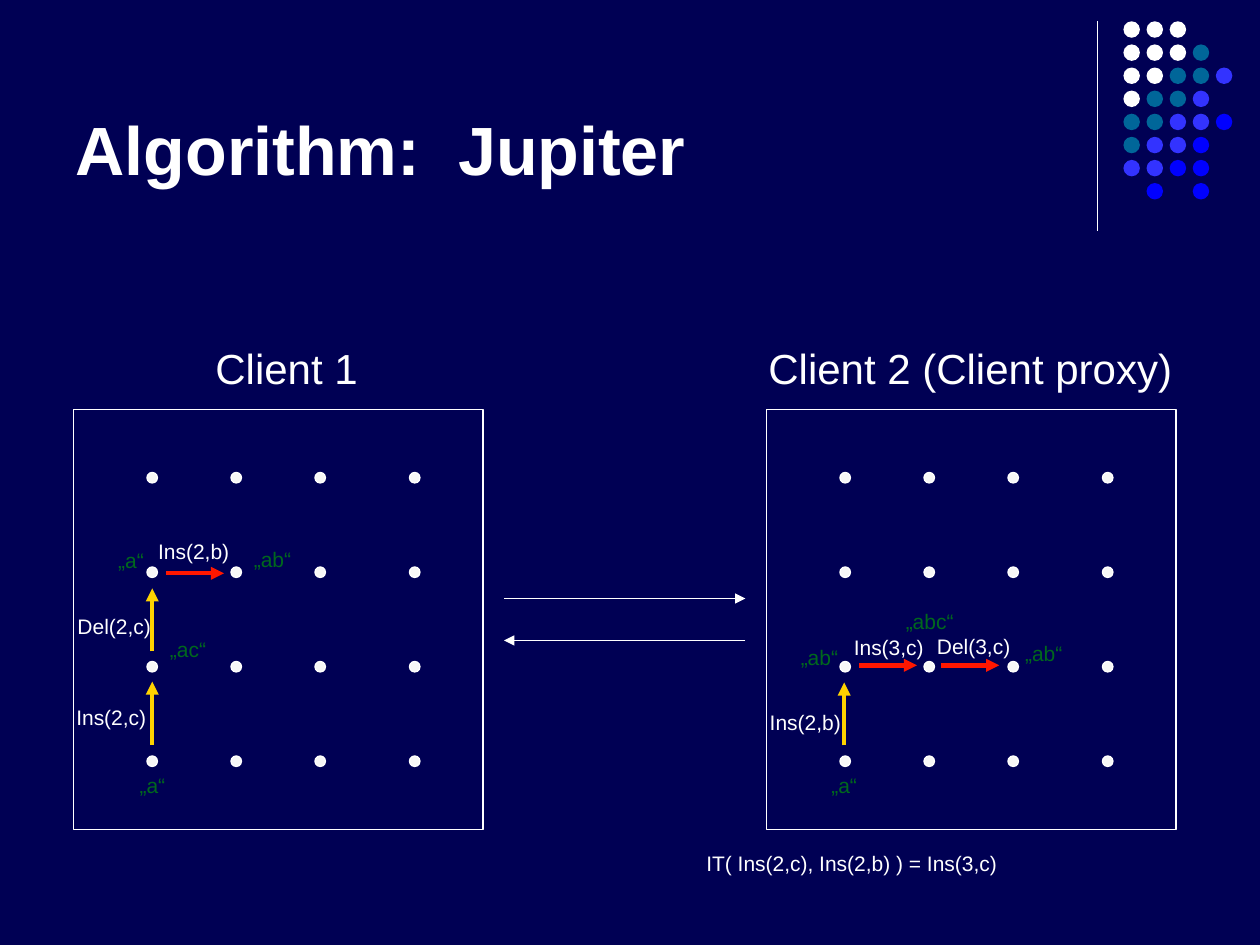
from pptx import Presentation
from pptx.util import Pt
from pptx.dml.color import RGBColor
from pptx.enum.shapes import MSO_SHAPE as Shape, MSO_CONNECTOR as Conn
from pptx.enum.text import MSO_ANCHOR as Anchor, PP_ALIGN as Align
from pptx.oxml.ns import qn
from lxml.etree import SubElement

HEX = {
    "back": "000054", "white": "FFFFFF", "dot": "F7F7F7", "teal": "006699",
    "violet": "3333FF", "blue": "0000FF", "red": "FF1700", "gold": "FFD300",
    "green": "00681D",
}
RGB = {name: RGBColor.from_string(code) for name, code in HEX.items()}


def add_line(x1, y1, x2, y2, color="white", width=0.75, arrow=True):
    line = slide.shapes.add_connector(Conn.STRAIGHT, Pt(x1), Pt(y1), Pt(x2), Pt(y2))
    line.line.color.rgb = RGB[color]
    line.line.width = Pt(width)
    props = line._element.spPr
    if arrow:
        SubElement(props.find(qn("a:ln")), qn("a:tailEnd"), type="triangle")
    SubElement(props, qn("a:effectLst"))


def add_text(text, x, y, w, h=21.6, size=12, color="white"):
    frame = slide.shapes.add_textbox(Pt(x), Pt(y), Pt(w), Pt(h)).text_frame
    frame.word_wrap = True
    frame.margin_right = Pt(4)
    para = frame.paragraphs[0]
    para.text = text
    para.font.name = "Arial"
    para.font.size = Pt(size)
    para.font.color.rgb = RGB[color]


deck = Presentation()
deck.slide_width, deck.slide_height = Pt(720), Pt(540)
slide = deck.slides.add_slide(deck.slide_layouts[5])
slide.background.fill.solid()
slide.background.fill.fore_color.rgb = RGB["back"]

title = slide.shapes.title
title.left, title.top, title.width, title.height = Pt(36), Pt(9.5), Pt(594), Pt(102)
title.text_frame.text = "Algorithm:  Jupiter"
title.text_frame.vertical_anchor = Anchor.BOTTOM
head = title.text_frame.paragraphs[0]
head.alignment = Align.LEFT
head.font.name = "Arial"
head.font.size = Pt(39)
head.font.bold = True
head.font.color.rgb = RGB["white"]

add_line(627, 12, 627, 132, arrow=False)

shades = {"W": "white", "T": "teal", "V": "violet", "B": "blue"}
motif = ["WWW", "WWWT", "WWTTV", "WTTV", "TTVVB", "TVVB", "VVBB", " B B"]
sets = [[
    (642 + 13.2 * col, 12.2 + 13.2 * row, 9.4, shades[key], False)
    for row, keys in enumerate(motif)
    for col, key in enumerate(keys) if key != " "
]]

boxes = [42, 438]
for left in boxes:
    sets.append([
        (left + step, 270 + 54 * row, 6, "dot", True)
        for row in range(4) for step in (42, 90, 138, 192)
    ])

for left in boxes:
    box = slide.shapes.add_shape(Shape.RECTANGLE, Pt(left), Pt(234), Pt(234), Pt(240))
    box.shadow.inherit = False
    box.fill.background()
    box.line.color.rgb = RGB["white"]
    box.line.width = Pt(0.75)

for dots in sets:
    group = slide.shapes.add_group_shape()
    for x, y, size, color, edge in dots:
        dot = group.shapes.add_shape(Shape.OVAL, Pt(x), Pt(y), Pt(size), Pt(size))
        dot.shadow.inherit = False
        dot.fill.solid()
        dot.fill.fore_color.rgb = RGB[color]
        if edge:
            dot.line.color.rgb = RGB["white"]
            dot.line.width = Pt(0.75)
        else:
            dot.line.fill.background()

add_text("Client 1", 116, 192.2, 95.8, 36, 24)
add_text("Client 2 (Client proxy)", 432, 192.2, 244.8, 36, 24)
add_line(288, 342, 426, 342)
add_line(426, 366, 288, 366)

for x, y in [(95, 327.6), (491, 380.2), (538, 380.2)]:
    add_line(x, y, x + 33, y, "red", 2.5)
for x, y in [(87, 425.5), (87, 372.2), (482.4, 426)]:
    add_line(x, y, x, y - 36, "gold", 2.5)

moves = [
    ("Ins(2,b)", 83.3, 304, 54.7), ("Del(2,c)", 37.2, 347.2, 56.2),
    ("Ins(2,c)", 36.5, 399, 54), ("Ins(2,b)", 432.8, 402, 54.7),
    ("Ins(3,c)", 480.8, 358.8, 54), ("Del(3,c)", 528.3, 358.3, 56.2),
    ("IT( Ins(2,c), Ins(2,b) ) = Ins(3,c)", 396.5, 482.5, 180.7),
]
for text, x, y, w in moves:
    add_text(text, x, y, w)

states = [
    ("„a“", 60.5, 309.6, 28.8), ("„ab“", 138, 309, 35.3),
    ("„ac“", 90, 360, 34.6), ("„a“", 72.7, 438, 28.8),
    ("„a“", 468, 438, 28.8), ("„ab“", 450.5, 364.5, 35.3),
    ("„abc“", 510.5, 344.3, 41.8), ("„ab“", 578.7, 362.3, 35.3),
]
for text, x, y, w in states:
    add_text(text, x, y, w, color="green")

deck.save("out.pptx")
